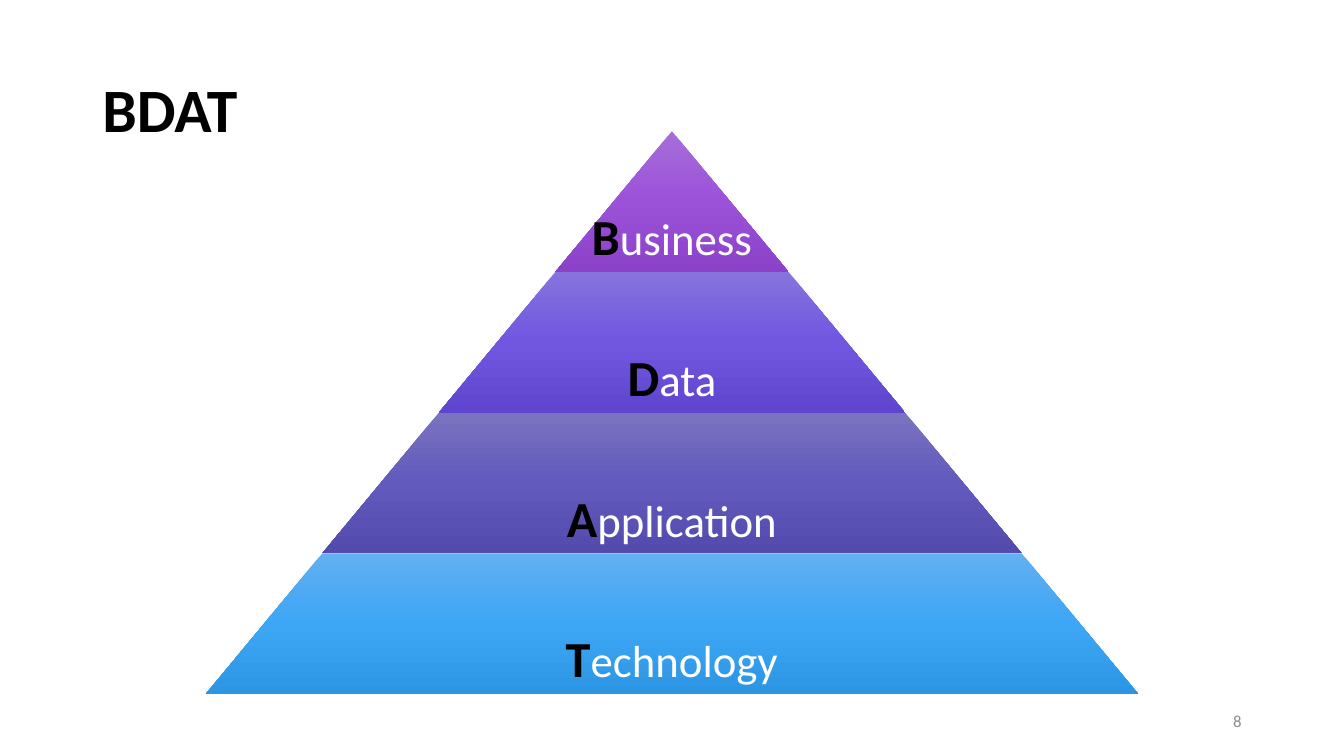
from copy import deepcopy

from pptx import Presentation
from pptx.dml.color import RGBColor
from pptx.enum.shapes import MSO_SHAPE
from pptx.enum.text import MSO_ANCHOR, PP_ALIGN
from pptx.oxml.ns import qn
from pptx.util import Pt

TRAPEZOID = MSO_SHAPE.TRAPEZOID
MIDDLE, BOTTOM = MSO_ANCHOR.MIDDLE, MSO_ANCHOR.BOTTOM
LEFT, CENTER, RIGHT = PP_ALIGN.LEFT, PP_ALIGN.CENTER, PP_ALIGN.RIGHT

EMU_PER_PX = 9525
TITLE_ONLY = 5
COLORS = {"black": "000000", "white": "FFFFFF", "gray": "8C8C8C"}
TIERS = [
    ("Business", ["A66ED9", "9C51D9", "8B41C8"]),
    ("Data", ["8673DE", "7157DF", "6046CE"]),
    ("Application", ["7973C0", "625ABD", "534AAD"]),
    ("Technology", ["62AFF1", "3DA6F5", "2C95E4"]),
]
CENTER_X, APEX_Y = 640, 125
TIER_HEIGHT, TIER_SLOPE = 134, 111


def px(*lengths):
    return [length * EMU_PER_PX for length in lengths]


class SlideBuilder:
    font = "Calibri"

    def __init__(self, presentation):
        layout = presentation.slide_layouts[TITLE_ONLY]
        self.slide = presentation.slides.add_slide(layout)

    def set_text(self, shape, runs, align, anchor, line_spacing=1.0):
        frame = shape.text_frame
        frame.word_wrap = True
        frame.vertical_anchor = anchor
        paragraph = frame.paragraphs[0]
        paragraph.alignment = align
        paragraph.line_spacing = line_spacing
        for text, size, color, bold in runs:
            run = paragraph.add_run()
            run.text = text
            run.font.name = self.font
            run.font.size = Pt(size)
            run.font.bold = bold
            run.font.color.rgb = RGBColor.from_string(COLORS[color])

    def title(self, text, box):
        shape = self.slide.shapes.title
        shape.left, shape.top, shape.width, shape.height = px(*box)
        self.set_text(shape, [(text, 44, "black", True)], LEFT, MIDDLE, 0.9)

    def text(self, runs, box, align, anchor, line_spacing=1.0, inset=None):
        shape = self.slide.shapes.add_textbox(*px(*box))
        self.set_text(shape, runs, align, anchor, line_spacing)
        if inset is not None:
            frame = shape.text_frame
            frame.margin_left = frame.margin_right = inset * EMU_PER_PX
            frame.margin_top = frame.margin_bottom = inset * EMU_PER_PX

    def trapezoid(self, box, slope, colors):
        shape = self.slide.shapes.add_shape(TRAPEZOID, *px(*box))
        shape.adjustments[0] = slope
        shape.shadow.inherit = False
        shape.line.fill.background()
        shape.fill.gradient()
        shape.fill.gradient_angle = 270
        stop_list = shape._element.spPr.find(qn("a:gradFill")).find(qn("a:gsLst"))
        stop_list.append(deepcopy(stop_list[-1]))
        for index, (stop, color) in enumerate(zip(shape.fill.gradient_stops, colors)):
            stop.position = index / (len(colors) - 1)
            stop.color.rgb = RGBColor.from_string(color)

    def tier(self, index, name, colors):
        top = APEX_Y + index * TIER_HEIGHT
        half_width = (index + 1) * TIER_SLOPE
        box = (CENTER_X - half_width, top, 2 * half_width, TIER_HEIGHT)
        self.trapezoid(box, TIER_SLOPE / TIER_HEIGHT, colors)
        half_label = max(half_width * 65 // 100, TIER_SLOPE)
        label_box = (CENTER_X - half_label, top, 2 * half_label, TIER_HEIGHT)
        runs = [(name[0], 36, "black", True), (name[1:], 32, "white", False)]
        self.text(runs, label_box, CENTER, BOTTOM, 0.9, 5)


def main():
    presentation = Presentation()
    presentation.slide_width, presentation.slide_height = px(1280, 720)
    builder = SlideBuilder(presentation)
    builder.title("BDAT", (88, 38, 1104, 139))
    for index, (name, colors) in enumerate(TIERS):
        builder.tier(index, name, colors)
    builder.text([("8", 12, "gray", False)], (904, 667, 288, 38), RIGHT, MIDDLE)
    presentation.save("out.pptx")


if __name__ == "__main__":
    main()
